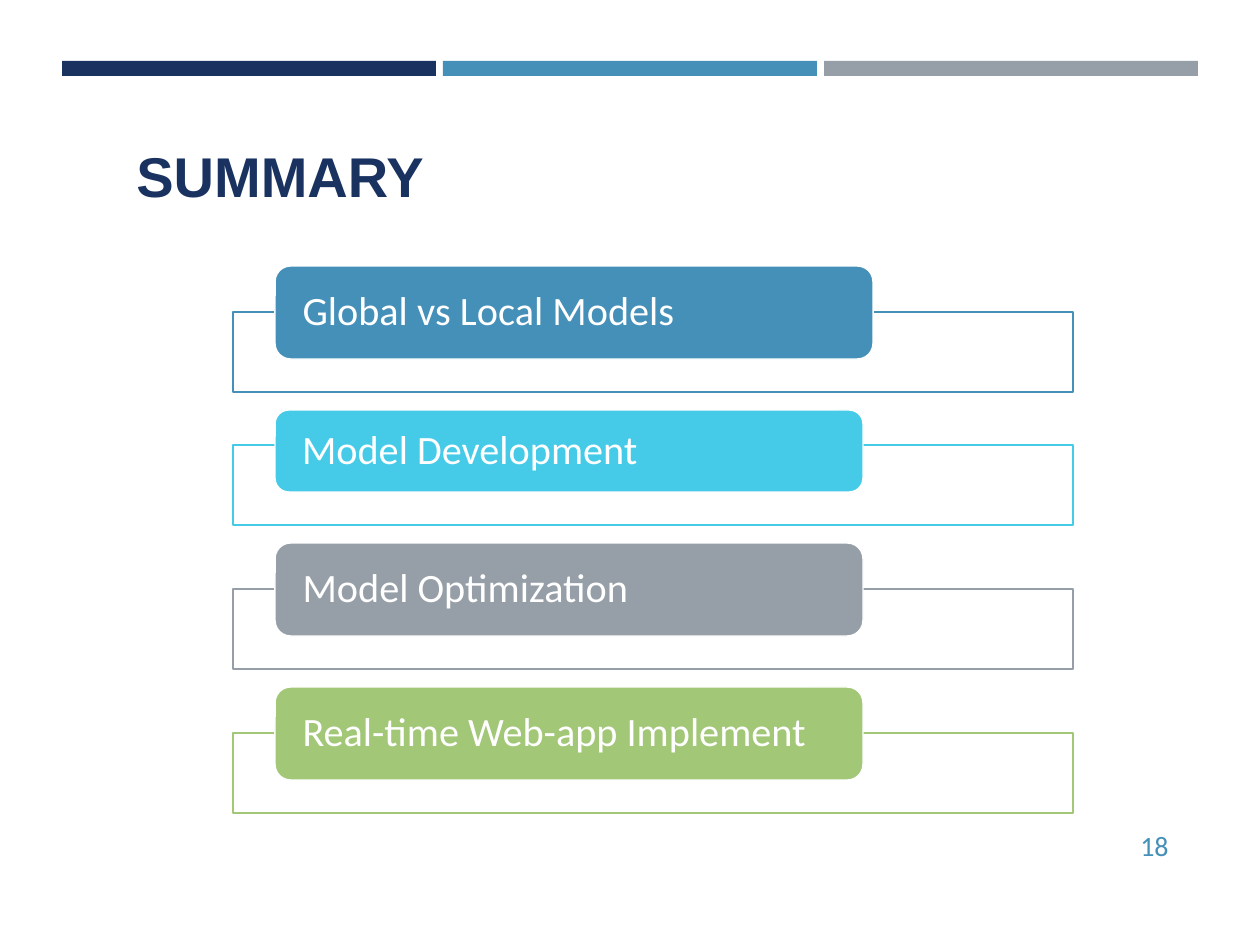
"""Build the summary slide: a title above four labelled, framed topics."""
from lxml.etree import SubElement
from pptx import Presentation
from pptx.dml.color import RGBColor
from pptx.enum.shapes import MSO_SHAPE
from pptx.enum.text import MSO_ANCHOR, PP_ALIGN
from pptx.oxml.ns import qn
from pptx.util import Pt

COLORS = {
    "navy": "1A3260",
    "blue": "4590B8",
    "cyan": "45CBE8",
    "gray": "969FA7",
    "green": "A2C777",
    "white": "FFFFFF",
}
TITLE = "SUMMARY"
PAGE_NUMBER = "18"
BANDS = ["navy", "blue", "gray"]
TOPICS = [
    ("Global vs Local Models", "blue", 598, 93),
    ("Model Development", "cyan", 588, 82),
    ("Model Optimization", "gray", 588, 93),
    ("Real-time Web-app Implement", "green", 588, 93),
]

SCALE = 914400 / 126
BAND_LEFT, BAND_TOP, BAND_WIDTH, BAND_HEIGHT, BAND_GAP = 62, 61, 374, 15, 7
FRAME_LEFT, FRAME_WIDTH, FRAME_HEIGHT = 233, 840, 80
LABEL_LEFT, FIRST_LABEL_TOP = 275, 266
OVERLAP, TOPIC_GAP, LABEL_INSET = 47, 18, 23


def px(length):
    return round(length * SCALE)


def color(name):
    return RGBColor.from_string(COLORS[name])


def add_box(page, preset, bounds, fill, line=None):
    box = page.shapes.add_shape(preset, *map(px, bounds))
    box.shadow.inherit = False
    box.fill.solid()
    box.fill.fore_color.rgb = color(fill)
    if line:
        box.line.color.rgb = color(line)
        box.line.width = Pt(0.85)
    else:
        box.line.fill.background()
    return box


def write(box, text, size, font, ink, align=PP_ALIGN.LEFT, bold=False):
    box.text_frame.word_wrap = True
    para = box.text_frame.paragraphs[0]
    para.text = text
    para.alignment = align
    para.font.size = Pt(size)
    para.font.name = font
    para.font.bold = bold
    para.font.color.rgb = color(ink)
    return para


def add_topic(page, top, text, accent, width, height):
    frame_top = top + height - OVERLAP
    frame = add_box(page, MSO_SHAPE.RECTANGLE,
                    (FRAME_LEFT, frame_top, FRAME_WIDTH, FRAME_HEIGHT), "white", accent)
    fill_color = frame.fill._xPr.find(qn("a:solidFill"))[0]
    SubElement(fill_color, qn("a:alpha"), val="90000")

    label = add_box(page, MSO_SHAPE.ROUNDED_RECTANGLE,
                    (LABEL_LEFT, top, width, height), accent, "white")
    words = label.text_frame
    words.margin_left = words.margin_right = px(LABEL_INSET)
    words.margin_top = words.margin_bottom = 0
    words.vertical_anchor = MSO_ANCHOR.MIDDLE
    write(label, text, 23, "Calibri", "white").line_spacing = 0.9
    return frame_top + FRAME_HEIGHT + TOPIC_GAP


def main():
    deck = Presentation()
    deck.slide_width, deck.slide_height = px(1260), px(945)
    page = deck.slides.add_slide(deck.slide_layouts[6])

    for index, band in enumerate(BANDS):
        left = BAND_LEFT + index * (BAND_WIDTH + BAND_GAP)
        add_box(page, MSO_SHAPE.RECTANGLE, (left, BAND_TOP, BAND_WIDTH, BAND_HEIGHT), band)

    number = page.shapes.add_textbox(*map(px, (1075, 820, 106, 50)))
    number.text_frame.vertical_anchor = MSO_ANCHOR.MIDDLE
    write(number, PAGE_NUMBER, 16, "Calibri", "blue", PP_ALIGN.RIGHT)

    title = page.shapes.add_textbox(*map(px, (124, 135, 932, 81)))
    write(title, TITLE, 32, "Arial", "navy", bold=True)

    top = FIRST_LABEL_TOP
    for topic in TOPICS:
        top = add_topic(page, top, *topic)

    deck.save("out.pptx")


if __name__ == "__main__":
    main()
